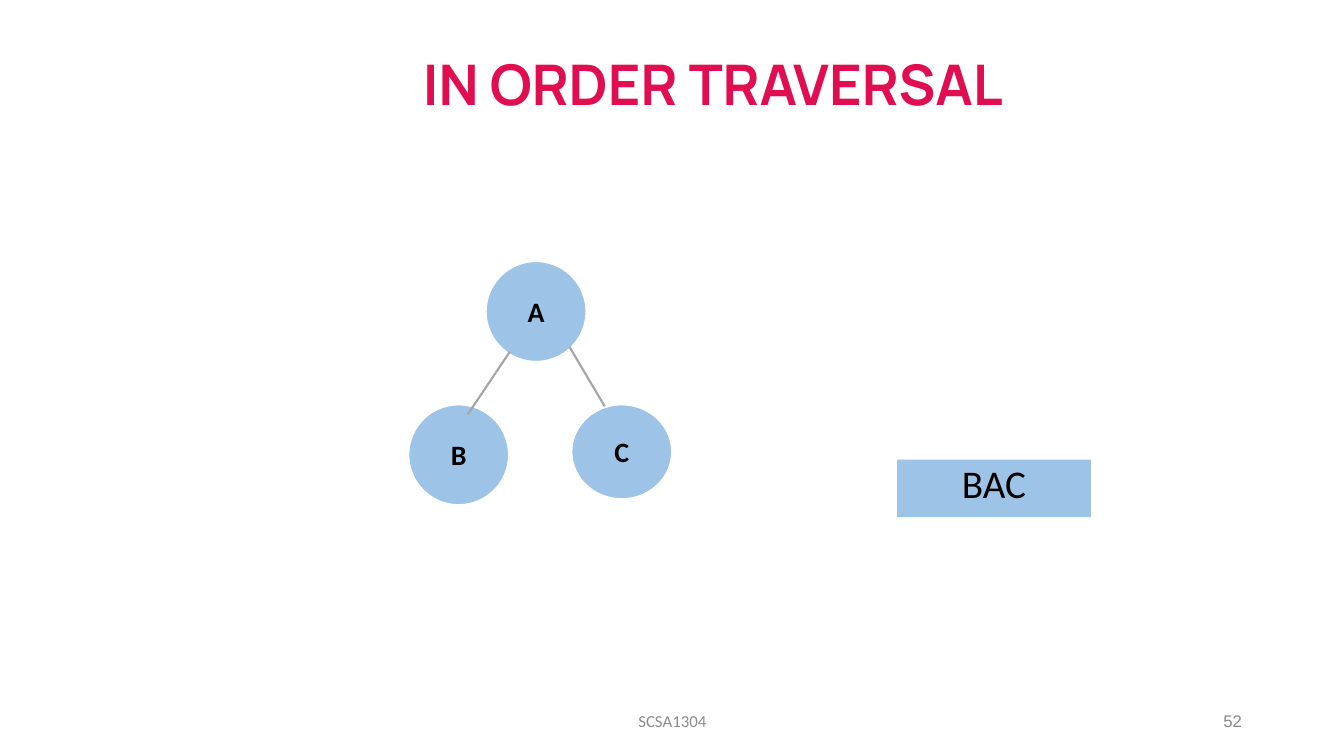
import dataclasses
import pptx
import pptx.util
import pptx.dml.color
import pptx.enum.shapes
import pptx.enum.text
import pptx.oxml.ns
import lxml.etree

Cm = pptx.util.Cm
Pt = pptx.util.Pt
Form = pptx.enum.shapes.MSO_SHAPE
Align = pptx.enum.text.PP_ALIGN
Anchor = pptx.enum.text.MSO_ANCHOR


@dataclasses.dataclass(frozen=True)
class Theme:
    white: str = "FFFFFF"
    black: str = "000000"
    pink: str = "E00D50"
    blue: str = "9DC3E6"
    edge: str = "A5A5A5"
    code: str = "8C8C8C"
    page: str = "898989"
    head: str = "Manrope"
    body: str = "Calibri"
    sans: str = "Arial"
    title: int = 40
    answer: int = 28
    node: int = 20
    small: int = 12
    line: float = 1.5


def tint(name):
    return pptx.dml.color.RGBColor.from_string(name)


class Board:
    def __init__(self, slide, theme):
        self.slide = slide
        self.theme = theme

    def letter(self, shape, text, size, color, face, bold=False,
               align=Align.CENTER, anchor=Anchor.MIDDLE, gap=1.0):
        frame = shape.text_frame
        frame.word_wrap = True
        frame.vertical_anchor = anchor
        para = frame.paragraphs[0]
        para.alignment = align
        para.line_spacing = gap
        run = para.add_run()
        run.text = text
        run.font.size = Pt(size)
        run.font.name = face
        run.font.bold = bold
        run.font.color.rgb = tint(color)

    def label(self, box, text, size, color, face, **style):
        shape = self.slide.shapes.add_textbox(*map(Cm, box))
        self.letter(shape, text, size, color, face, **style)

    def block(self, form, box):
        shape = self.slide.shapes.add_shape(form, *map(Cm, box))
        shape.shadow.inherit = False
        shape.fill.solid()
        shape.fill.fore_color.rgb = tint(self.theme.blue)
        return shape

    def answer(self, box, text):
        shape = self.block(Form.RECTANGLE, box)
        shape.line.fill.background()
        self.letter(shape, text, self.theme.answer, self.theme.black,
                    self.theme.body, anchor=Anchor.TOP, gap=0.9)

    def node(self, box, text):
        shape = self.block(Form.OVAL, box)
        shape.line.color.rgb = tint(self.theme.white)
        shape.line.width = Pt(self.theme.line)
        self.letter(shape, text, self.theme.node, self.theme.black,
                    self.theme.body, bold=True)

    def edge(self, ends):
        kind = pptx.enum.shapes.MSO_CONNECTOR.STRAIGHT
        line = self.slide.shapes.add_connector(kind, *map(Cm, ends))
        line.line.color.rgb = tint(self.theme.edge)
        line.line.width = Pt(self.theme.line)
        props = line._element.spPr
        lxml.etree.SubElement(props, pptx.oxml.ns.qn("a:effectLst"))


def main():
    deck = pptx.Presentation()
    deck.slide_width = Cm(33.87)
    deck.slide_height = Cm(19.05)
    theme = Theme()
    board = Board(deck.slides.add_slide(deck.slide_layouts[6]), theme)

    board.label((4.39, 1.02, 27.15, 2.39), "IN ORDER TRAVERSAL",
                theme.title, theme.pink, theme.head, bold=True, gap=0.9)
    board.answer((22.61, 11.58, 4.88, 1.45), "BAC")
    board.label((11.23, 17.65, 11.43, 1.02), "SCSA1304",
                theme.small, theme.code, theme.body)
    board.label((23.93, 17.65, 7.62, 1.02), "52",
                theme.small, theme.page, theme.sans, align=Align.RIGHT)

    nodes = {
        "B": (10.29, 10.19, 2.54, 2.54),
        "C": (14.4, 10.19, 2.54, 2.39),
        "A": (12.24, 6.58, 2.54, 2.54),
    }
    for name, box in nodes.items():
        board.node(box, name)
    for ends in ((12.85, 8.86, 11.79, 10.44), (14.35, 8.74, 15.24, 10.24)):
        board.edge(ends)

    deck.save("out.pptx")


if __name__ == "__main__":
    main()
